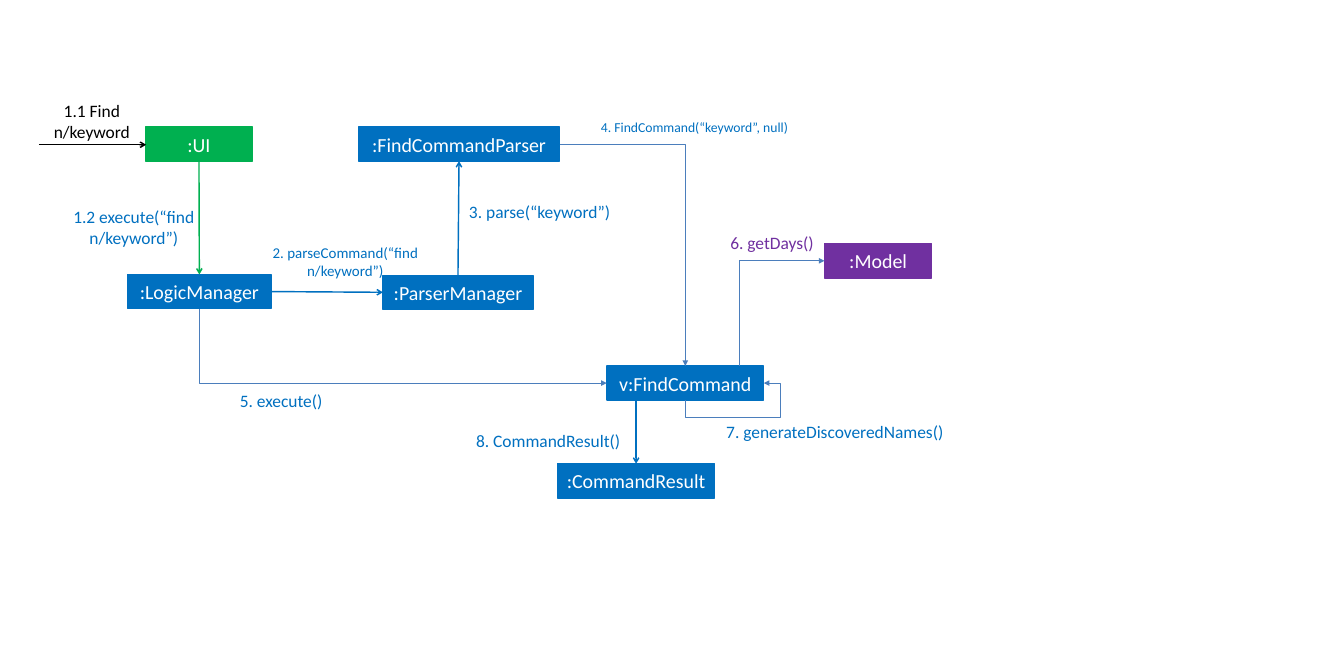
from dataclasses import dataclass

from lxml import etree
from pptx import Presentation
from pptx.dml.color import RGBColor
from pptx.enum.shapes import MSO_CONNECTOR, MSO_SHAPE
from pptx.enum.text import MSO_ANCHOR, PP_ALIGN
from pptx.oxml.ns import qn
from pptx.util import Pt

STRAIGHT, ELBOW = MSO_CONNECTOR.STRAIGHT, MSO_CONNECTOR.ELBOW
RECT = MSO_SHAPE.RECTANGLE
CENTER = PP_ALIGN.CENTER
MIDDLE, ANCHOR_TOP = MSO_ANCHOR.MIDDLE, MSO_ANCHOR.TOP
TOP, LEFT, BOTTOM, RIGHT = range(4)  # connection sites of a rectangle

FONT = "Calibri"
BLUE, GREEN, PURPLE = "0070C0", "00B050", "7030A0"
STEEL, BLACK, WHITE = "4B7EBC", "000000", "FFFFFF"
BOX_H = 36
LOOP_GAP = 18  # clearance of the self call around its box


@dataclass
class Box:
    """An object of the diagram."""
    name: str
    x: float
    y: float
    w: float
    color: str = BLUE


@dataclass
class Label:
    """The text of one message."""
    text: str
    x: float
    y: float
    w: float
    h: float = 22.3
    size: float = 18.4
    color: str = BLUE


@dataclass
class Arrow:
    """A straight message; each end is (box name, site) or a point."""
    start: tuple
    end: tuple
    color: str = BLUE


@dataclass
class Elbow:
    """A bent message that leaves its start horizontally."""
    start: tuple
    end: tuple
    head_at: str = "headEnd"
    loop: bool = False


BOXES = [
    Box(":UI", 153.4, 133.9, 113),
    Box(":LogicManager", 134.6, 289.4, 151.4),
    Box(":Model", 869.8, 257, 113, PURPLE),
    Box(":ParserManager", 403.9, 290.2, 158.4),
    Box(":FindCommandParser", 378, 133.9, 212.4),
    Box("v:FindCommand", 640.1, 385.9, 165.6),
    Box(":CommandResult", 588.2, 488.9, 165.6),
]
BOXES[0].color = GREEN

LABELS = [
    Label("1.1 Find n/keyword", 52.6, 105.1, 88.6, 44.6, color=BLACK),
    Label("1.2 execute(“find n/keyword”)", 67.7, 217.4, 146.9, 44.6),
    Label("2. parseCommand(“find n/keyword”)", 284.4, 257, 159.8, 38.2, 15.8),
    Label("3. parse(“keyword”)", 491.8, 212.4, 154.8),
    Label("4. FindCommand(“keyword”, null)", 626.4, 125.3, 212.4, 17.3, 14.4),
    Label("5. execute()", 235.4, 411.1, 122.4),
    Label("6. getDays()", 751, 244.8, 126.7, color=PURPLE),
    Label("7. generateDiscoveredNames()", 758.2, 444.2, 244.8),
    Label("8. CommandResult()", 499, 453.6, 158.4),
]

ARROWS = [
    Arrow((41, 152.6), (154.1, 152.6), BLACK),
    Arrow((":UI", BOTTOM), (":LogicManager", TOP), GREEN),
    Arrow((":LogicManager", RIGHT), (":ParserManager", LEFT)),
    Arrow((":ParserManager", TOP), (":FindCommandParser", BOTTOM)),
    Arrow((671, 421.9), (":CommandResult", TOP)),
]

ELBOWS = [
    Elbow((":FindCommandParser", RIGHT), ("v:FindCommand", TOP), "tailEnd"),
    Elbow(("v:FindCommand", LEFT), (":LogicManager", BOTTOM)),
    Elbow((":Model", LEFT), (779.8, 385.9)),
    Elbow(("v:FindCommand", RIGHT), ("v:FindCommand", BOTTOM), loop=True),
]


def rgb(color: str) -> RGBColor:
    """Turn a hex string into a colour."""
    return RGBColor.from_string(color)


def set_text(sp, text: str, *, size: float, color: str, anchor=ANCHOR_TOP) -> None:
    """Write one centred, wrapping paragraph into a shape."""
    tf = sp.text_frame
    tf.word_wrap = True
    tf.vertical_anchor = anchor
    p = tf.paragraphs[0]
    p.alignment = CENTER
    r = p.add_run()
    r.text = text
    r.font.name, r.font.size = FONT, Pt(size)
    r.font.color.rgb = rgb(color)


def draw_box(s, box: Box):
    """Draw an object and return its shape."""
    sp = s.shapes.add_shape(RECT, Pt(box.x), Pt(box.y), Pt(box.w), Pt(BOX_H))
    sp.shadow.inherit = False
    sp.fill.solid()
    sp.fill.fore_color.rgb = sp.line.color.rgb = rgb(box.color)
    sp.line.width = Pt(1.5)
    set_text(sp, box.name, size=21, color=WHITE, anchor=MIDDLE)
    return sp


def draw_label(s, label: Label) -> None:
    """Draw the text of a message without insets."""
    sp = s.shapes.add_textbox(Pt(label.x), Pt(label.y), Pt(label.w), Pt(label.h))
    tf = sp.text_frame
    tf.margin_left = tf.margin_right = tf.margin_top = tf.margin_bottom = 0
    set_text(sp, label.text, size=label.size, color=label.color)


def connect(s, shapes: dict, kind, start: tuple, end: tuple, *, color: str,
            width: float, head_at: str, head: str):
    """Draw a connector, glued wherever an end names a box."""
    cxn = s.shapes.add_connector(kind, 0, 0, 0, 0)
    if start[0] in shapes:
        cxn.begin_connect(shapes[start[0]], start[1])
    else:
        cxn.begin_x, cxn.begin_y = Pt(start[0]), Pt(start[1])
    if end[0] in shapes:
        cxn.end_connect(shapes[end[0]], end[1])
    else:
        cxn.end_x, cxn.end_y = Pt(end[0]), Pt(end[1])
    cxn.line.color.rgb = rgb(color)
    cxn.line.width = Pt(width)
    sp_pr = cxn.line._get_or_add_ln().getparent()
    etree.SubElement(sp_pr.find(qn("a:ln")), qn(f"a:{head_at}"), type=head)
    etree.SubElement(sp_pr, qn("a:effectLst"))
    return cxn


def draw_arrow(s, shapes: dict, arrow: Arrow) -> None:
    """Draw a straight message."""
    connect(s, shapes, STRAIGHT, arrow.start, arrow.end, color=arrow.color,
            width=1.5, head_at="tailEnd", head="arrow")


def draw_elbow(s, shapes: dict, elbow: Elbow) -> None:
    """Draw a message with one bend, or a self call with three."""
    cxn = connect(s, shapes, ELBOW, elbow.start, elbow.end, color=STEEL,
                  width=0.75, head_at=elbow.head_at, head="triangle")
    geom = cxn._element.spPr.find(qn("a:prstGeom"))
    geom.set("prst", "bentConnector4" if elbow.loop else "bentConnector2")
    if elbow.loop:
        gap = Pt(LOOP_GAP)
        ratios = (-gap / cxn.width, 1 + gap / cxn.height)
        guides = geom.get_or_add_avLst()
        for i, ratio in enumerate(ratios, 1):
            etree.SubElement(guides, qn("a:gd"), name=f"adj{i}",
                             fmla=f"val {round(ratio * 100000)}")


def main() -> None:
    """Build the slide and save it."""
    prs = Presentation()
    prs.slide_width, prs.slide_height = Pt(1417.68), Pt(708.48)
    s = prs.slides.add_slide(prs.slide_layouts[6])
    shapes = {box.name: draw_box(s, box) for box in BOXES}
    for arrow in ARROWS:
        draw_arrow(s, shapes, arrow)
    for elbow in ELBOWS:
        draw_elbow(s, shapes, elbow)
    for label in LABELS:
        draw_label(s, label)
    prs.save("out.pptx")


main()
